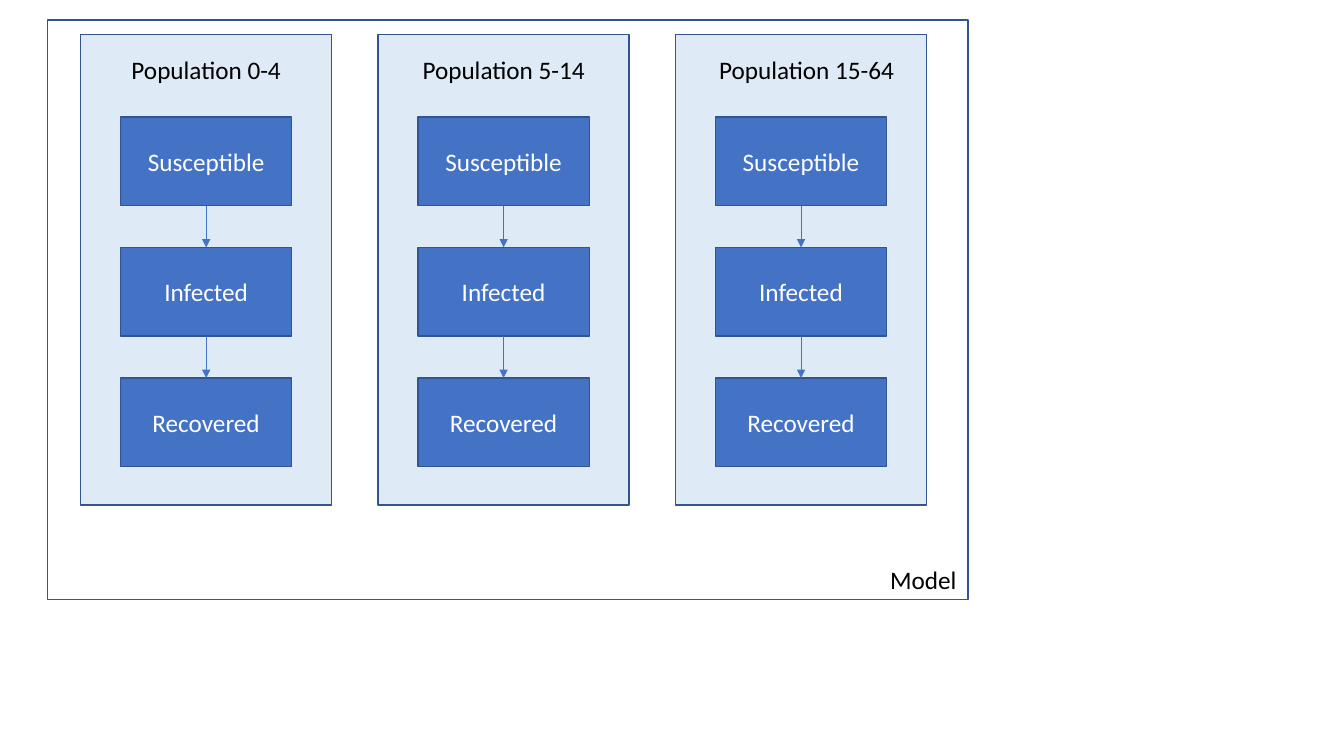
from lxml.etree import SubElement
from pptx import Presentation
from pptx.dml.color import RGBColor as RGB
from pptx.enum.shapes import MSO_CONNECTOR as LINK, MSO_SHAPE as SHAPE
from pptx.enum.text import MSO_ANCHOR as ANCHOR, MSO_AUTO_SIZE as FIT, PP_ALIGN as ALIGN
from pptx.oxml.ns import qn
from pptx.util import Inches, Pt

COLORS = {"panel": "DEEBF7", "state": "4472C4", "edge": "325491",
          "white": "FFFFFF", "black": "000000"}
STATES = ["Susceptible", "Infected", "Recovered"]
# Each group: title, title left, title width
GROUPS = [("Population 0-4", 0.8, 2.49),
          ("Population 5-14", 3.75, 2.49),
          ("Population 15-64", 6.67, 2.66)]
LEFT, STEP, WIDTH = 0.8, 2.95, 2.49
TOP, DROP = 1.16, 1.295
BOX_W, BOX_H = 1.7, 0.88

deck = Presentation()
deck.slide_width, deck.slide_height = Inches(13.33), Inches(7.5)
slide = deck.slides.add_slide(deck.slide_layouts[6])
shapes = slide.shapes


def add_box(x, y, w, h, fill=None):
    """Add an outlined rectangle, filled if a colour name is given."""
    box = shapes.add_shape(SHAPE.RECTANGLE, Inches(x), Inches(y), Inches(w), Inches(h))
    box.shadow.inherit = False
    if fill:
        box.fill.solid()
        box.fill.fore_color.rgb = RGB.from_string(COLORS[fill])
    else:
        box.fill.background()
    box.line.color.rgb = RGB.from_string(COLORS["edge"])
    box.line.width = Pt(1)
    return box


def add_text(shape, text, color, align=ALIGN.CENTER):
    """Write one 18-point run into a shape."""
    para = shape.text_frame.paragraphs[0]
    para.alignment = align
    run = para.add_run()
    run.text = text
    run.font.name, run.font.size = "Calibri", Pt(18)
    run.font.color.rgb = RGB.from_string(COLORS[color])


for col, (title, title_x, title_w) in enumerate(GROUPS):
    left = LEFT + col * STEP
    mid = left + WIDTH / 2
    add_box(left, 0.34, WIDTH, 4.67, "panel")

    for row, state in enumerate(STATES):
        box = add_box(mid - BOX_W / 2, TOP + row * DROP, BOX_W, BOX_H, "state")
        box.text_frame.vertical_anchor = ANCHOR.MIDDLE
        add_text(box, state, "white")

    label = shapes.add_textbox(Inches(title_x), Inches(0.49), Inches(title_w), Inches(0.4))
    label.text_frame.word_wrap = True
    label.text_frame.auto_size = FIT.SHAPE_TO_FIT_TEXT
    add_text(label, title, "black")

    for row in range(len(STATES) - 1):
        y = TOP + row * DROP
        arrow = shapes.add_connector(LINK.STRAIGHT, Inches(mid), Inches(y + BOX_H),
                                     Inches(mid), Inches(y + DROP))
        arrow.line.color.rgb = RGB.from_string(COLORS["state"])
        arrow.line.width = Pt(0.5)
        SubElement(arrow.line._get_or_add_ln(), qn("a:tailEnd"), type="triangle")
        SubElement(arrow._element.spPr, qn("a:effectLst"))

add_box(0.47, 0.2, 9.13, 5.75)
model = shapes.add_textbox(Inches(8.73), Inches(5.55), Inches(0.87), Inches(0.4))
model.text_frame.word_wrap = False
model.text_frame.auto_size = FIT.SHAPE_TO_FIT_TEXT
add_text(model, "Model", "black", ALIGN.LEFT)

deck.save("out.pptx")
